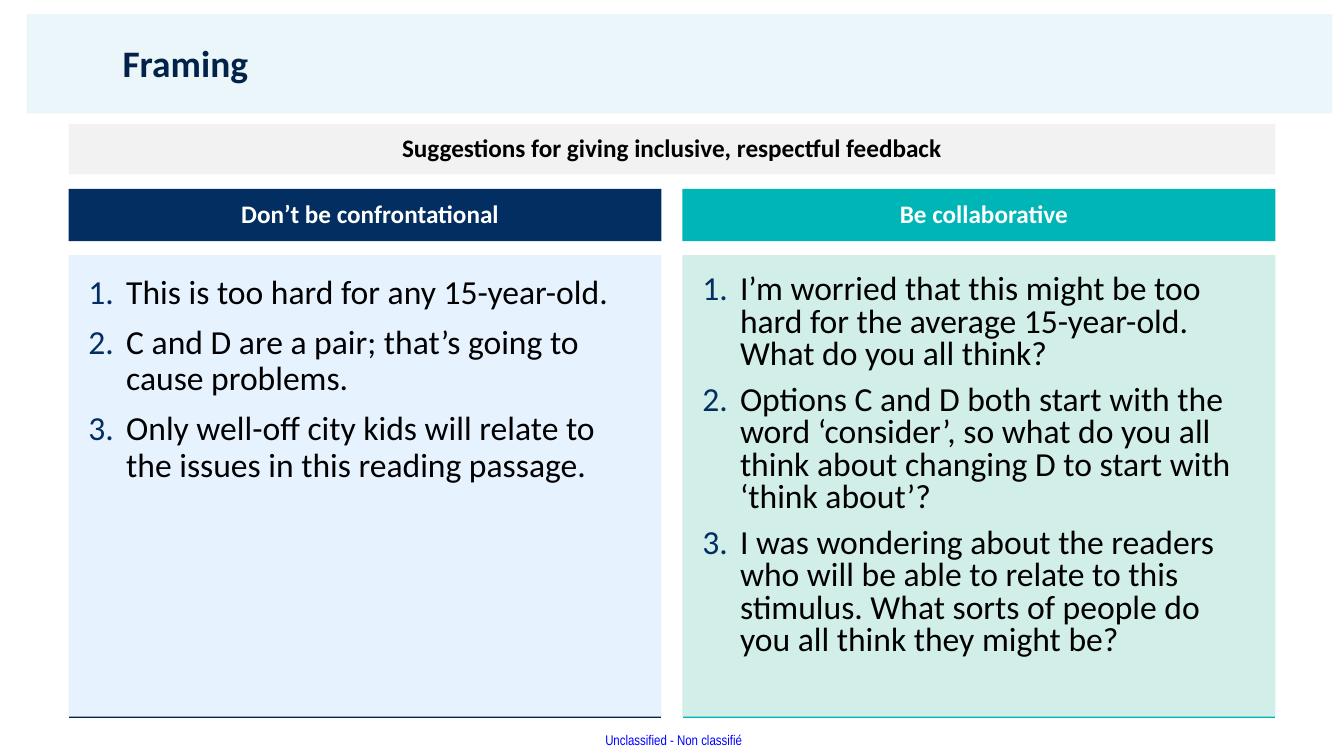
from lxml import etree
from pptx import Presentation
from pptx.dml.color import RGBColor
from pptx.enum.shapes import MSO_CONNECTOR, MSO_SHAPE
from pptx.enum.text import MSO_ANCHOR, PP_ALIGN
from pptx.oxml.ns import qn
from pptx.util import Cm, Pt

RECTANGLE = MSO_SHAPE.RECTANGLE
STRAIGHT = MSO_CONNECTOR.STRAIGHT
LEFT, CENTER = PP_ALIGN.LEFT, PP_ALIGN.CENTER
TOP, MIDDLE = MSO_ANCHOR.TOP, MSO_ANCHOR.MIDDLE

BLACK = RGBColor(0x00, 0x00, 0x00)
WHITE = RGBColor(0xFF, 0xFF, 0xFF)
BLUE = RGBColor(0x00, 0x00, 0xFF)
DARK_NAVY = RGBColor(0x02, 0x22, 0x49)
NAVY = RGBColor(0x03, 0x2E, 0x61)
TEAL = RGBColor(0x00, 0xB5, 0xB5)
SKY = RGBColor(0x6F, 0xC5, 0xD5)
PALE_BLUE = RGBColor(0xE7, 0xF2, 0xFF)
PALE_GREEN = RGBColor(0xD2, 0xEE, 0xE9)
PALE_GREY = RGBColor(0xF2, 0xF2, 0xF2)

MARGIN = 1.73
COLUMN_WIDTH = 14.94
COLUMN_STEP = 15.47
PANEL_TOP, PANEL_HEIGHT = 6.43, 11.63
PANEL_INSETS = (0.5, 0.5, 0.5, 0.5)
HEADER_INSETS = (0.5, 0.13, 0.25, 0.13)
DEFAULT_INSETS = (0.25, 0.13, 0.25, 0.13)

COLUMNS = [
    ("Don’t be confrontational", NAVY, PALE_BLUE, DARK_NAVY, 0.9, [
        "This is too hard for any 15-year-old.",
        "C and D are a pair; that’s going to cause problems.",
        "Only well-off city kids will relate to the issues in this reading passage.",
    ]),
    ("Be collaborative", TEAL, PALE_GREEN, TEAL, 0.8, [
        "I’m worried that this might be too hard for the average 15-year-old. "
        "What do you all think?",
        "Options C and D both start with the word ‘consider’, so what do you all "
        "think about changing D to start with ‘think about’?",
        "I was wondering about the readers who will be able to relate to this "
        "stimulus. What sorts of people do you all think they might be?",
    ]),
]


def number_paragraph(paragraph, color):
    properties = paragraph._p.get_or_add_pPr()
    properties.set("marL", str(Cm(0.95)))
    properties.set("indent", str(-Cm(0.95)))
    bullet_color = etree.SubElement(properties, qn("a:buClr"))
    etree.SubElement(bullet_color, qn("a:srgbClr"), val=str(color))
    etree.SubElement(properties, qn("a:buFont"), typeface="+mj-lt")
    etree.SubElement(properties, qn("a:buAutoNum"), type="arabicPeriod")


def write_text(shape, texts, size=18, color=BLACK, bold=False, font="Calibri",
               align=LEFT, anchor=MIDDLE, insets=DEFAULT_INSETS, wrap=True,
               line_spacing=0.9, space_before=0, number_color=None):
    frame = shape.text_frame
    frame.word_wrap = wrap
    frame.vertical_anchor = anchor
    (frame.margin_left, frame.margin_top,
     frame.margin_right, frame.margin_bottom) = map(Cm, insets)
    for index, text in enumerate(texts):
        paragraph = frame.add_paragraph() if index else frame.paragraphs[0]
        paragraph.alignment = align
        paragraph.line_spacing = line_spacing
        paragraph.space_before = Pt(space_before)
        if number_color is not None:
            number_paragraph(paragraph, number_color)
        run = paragraph.add_run()
        run.text = text
        run.font.name = font
        run.font.size = Pt(size)
        run.font.bold = bold
        run.font.color.rgb = color


class SlideBuilder:
    def __init__(self, slide):
        self.shapes = slide.shapes

    def box(self, left, top, width, height, fill, opacity=None):
        shape = self.shapes.add_shape(
            RECTANGLE, Cm(left), Cm(top), Cm(width), Cm(height))
        shape.shadow.inherit = False
        shape.line.fill.background()
        shape.fill.solid()
        shape.fill.fore_color.rgb = fill
        if opacity is not None:
            color = shape._element.spPr.find(qn("a:solidFill"))[0]
            etree.SubElement(color, qn("a:alpha"), val=str(opacity * 1000))
        return shape

    def label(self, left, top, width, height, text, **style):
        shape = self.shapes.add_textbox(
            Cm(left), Cm(top), Cm(width), Cm(height))
        write_text(shape, [text], **style)

    def rule(self, left, top, width, color):
        line = self.shapes.add_connector(
            STRAIGHT, Cm(left), Cm(top), Cm(left + width), Cm(top))
        line.line.color.rgb = color
        line.line.width = Pt(2)
        etree.SubElement(line._element.spPr, qn("a:effectLst"))

    def banner(self, left, top, width, height, text, fill, **style):
        shape = self.box(left, top, width, height, fill)
        write_text(shape, [text], bold=True, align=CENTER, space_before=10, **style)

    def column(self, left, heading, header_fill, panel_fill, rule_color,
               line_spacing, items):
        self.rule(left, PANEL_TOP + PANEL_HEIGHT, COLUMN_WIDTH, rule_color)
        panel = self.box(left, PANEL_TOP, COLUMN_WIDTH, PANEL_HEIGHT, panel_fill)
        write_text(panel, items, size=24, anchor=TOP, insets=PANEL_INSETS,
                   line_spacing=line_spacing, space_before=10, number_color=NAVY)
        self.banner(left, 4.76, COLUMN_WIDTH, 1.32, heading, header_fill,
                    color=WHITE, insets=HEADER_INSETS)


def main():
    presentation = Presentation()
    presentation.slide_width = Cm(33.87)
    presentation.slide_height = Cm(19.05)
    builder = SlideBuilder(
        presentation.slides.add_slide(presentation.slide_layouts[6]))

    builder.box(0.67, 0.36, 32.9, 2.5, SKY, opacity=14)
    builder.label(15.21, 18.44, 3.53, 0.43, "Unclassified - Non classifié",
                  size=10, color=BLUE, font="Arial Narrow", align=CENTER,
                  anchor=TOP, insets=(0, 0, 0, 0), wrap=False, line_spacing=1.0)
    for index, column in enumerate(COLUMNS):
        builder.column(MARGIN + index * COLUMN_STEP, *column)
    builder.banner(MARGIN, 3.13, COLUMN_STEP + COLUMN_WIDTH, 1.26,
                   "Suggestions for giving inclusive, respectful feedback", PALE_GREY)
    builder.label(2.84, 0.46, 29.08, 2.39, "Framing",
                  size=26.7, color=DARK_NAVY, bold=True)
    presentation.save("out.pptx")


if __name__ == "__main__":
    main()
